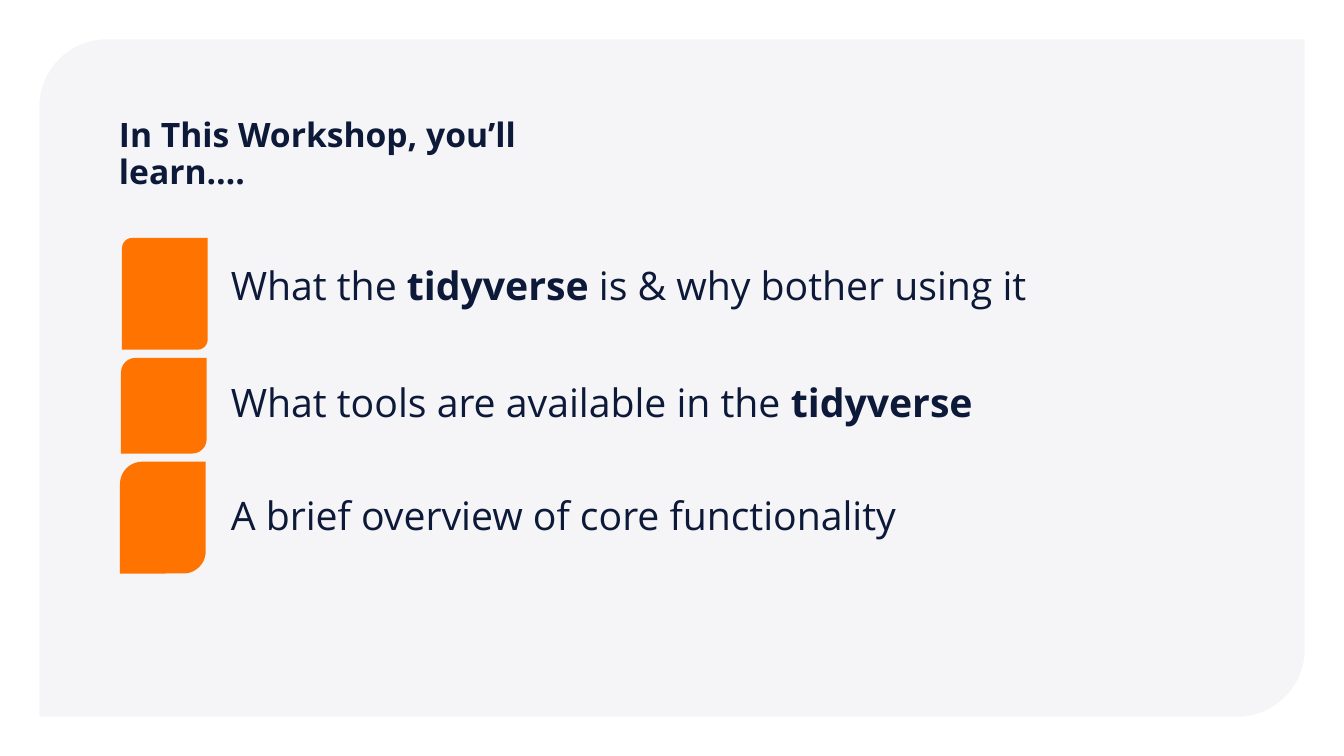
from dataclasses import dataclass

from pptx import Presentation
from pptx.dml.color import RGBColor
from pptx.enum.shapes import MSO_SHAPE
from pptx.enum.text import MSO_ANCHOR, MSO_AUTO_SIZE, PP_ALIGN
from pptx.shapes.autoshape import Shape
from pptx.slide import Slide
from pptx.text.text import TextFrame
from pptx.util import Inches, Pt

DIAGONAL = MSO_SHAPE.ROUND_2_DIAG_RECTANGLE
TOP = MSO_ANCHOR.TOP
LEFT = PP_ALIGN.LEFT
NO_AUTOFIT = MSO_AUTO_SIZE.NONE

NAVY = RGBColor(0x0C, 0x19, 0x38)
ORANGE = RGBColor(0xFF, 0x74, 0x00)
PANEL_GREY = RGBColor(0xF5, 0xF4, 0xF6)
FONT = "Open Sans"

WIDTH, HEIGHT = 13.33, 7.5
MARGIN = 0.39
TITLE_LEFT = 1.18
TEXT_LEFT = 2.29
TEXT_WIDTH = 9.85
MARKER_WIDTH = 0.85
KEYWORD = "tidyverse"


@dataclass(frozen=True)
class Box:
    left: float
    top: float
    width: float
    height: float


@dataclass(frozen=True)
class Topic:
    text: str
    text_top: float
    text_height: float
    marker: Box
    rounding: float


TOPICS = [
    Topic("What the tidyverse is & why bother using it", 2.36, 1.11,
          Box(1.21, 2.36, MARKER_WIDTH, 1.11), 0.12),
    Topic("What tools are available in the tidyverse", 3.52, 0.69,
          Box(1.2, 3.55, MARKER_WIDTH, 0.95), 0.17),
    Topic("A brief overview of core functionality", 4.64, 0.46,
          Box(1.19, 4.58, MARKER_WIDTH, 1.11), 0.26),
]


def place(sp: Shape, box: Box) -> None:
    sp.left, sp.top = Inches(box.left), Inches(box.top)
    sp.width, sp.height = Inches(box.width), Inches(box.height)


def add_diagonal(s: Slide, box: Box, rounding: float, color: RGBColor) -> Shape:
    sp = s.shapes.add_shape(DIAGONAL, 0, 0, 0, 0)
    place(sp, box)
    sp.adjustments[0] = rounding
    sp.shadow.inherit = False
    sp.fill.solid()
    sp.fill.fore_color.rgb = color
    sp.line.fill.background()
    return sp


def format_frame(tf: TextFrame, size: int, spacing: float) -> None:
    tf.word_wrap = True
    tf.auto_size = NO_AUTOFIT
    tf.vertical_anchor = TOP
    tf.margin_left = tf.margin_top = tf.margin_right = tf.margin_bottom = 0
    p = tf.paragraphs[0]
    p.alignment = LEFT
    p.line_spacing = spacing
    for r in p.runs:
        r.font.name = FONT
        r.font.size = Pt(size)
        r.font.color.rgb = NAVY


def add_title(s: Slide) -> Shape:
    title = s.shapes.title
    place(title, Box(TITLE_LEFT, TITLE_LEFT, 4.7, 0.4))
    tf = title.text_frame
    tf.text = "In This Workshop, you’ll learn…."
    format_frame(tf, 24, 0.9)
    tf.paragraphs[0].runs[0].font.bold = True
    return title


def add_topic(s: Slide, topic: Topic) -> None:
    add_diagonal(s, topic.marker, topic.rounding, ORANGE)
    sp = s.shapes.add_textbox(0, 0, 0, 0)
    place(sp, Box(TEXT_LEFT, topic.text_top, TEXT_WIDTH, topic.text_height))
    p = sp.text_frame.paragraphs[0]
    for part in topic.text.partition(KEYWORD):
        if part:
            r = p.add_run()
            r.text = part
            r.font.bold = part == KEYWORD
    format_frame(sp.text_frame, 28, 1.5)
    p.space_after = Pt(6)


def main() -> None:
    prs = Presentation()
    prs.slide_width, prs.slide_height = Inches(WIDTH), Inches(HEIGHT)
    s = prs.slides.add_slide(prs.slide_layouts[5])
    panel_box = Box(MARGIN, MARGIN, WIDTH - 2 * MARGIN, HEIGHT - 2 * MARGIN)
    panel = add_diagonal(s, panel_box, 0.1, PANEL_GREY)
    title = add_title(s)
    title.element.addprevious(panel.element)
    for topic in TOPICS:
        add_topic(s, topic)
    prs.save("out.pptx")


if __name__ == "__main__":
    main()
